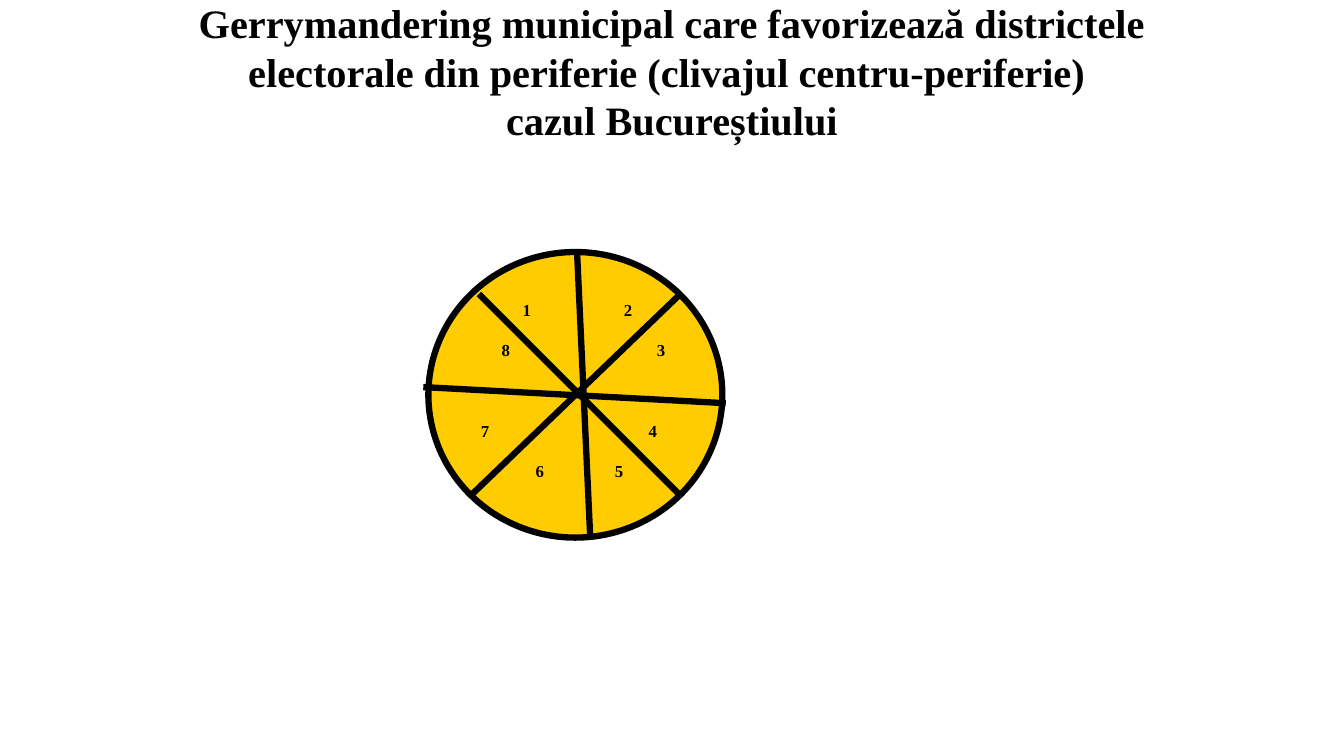
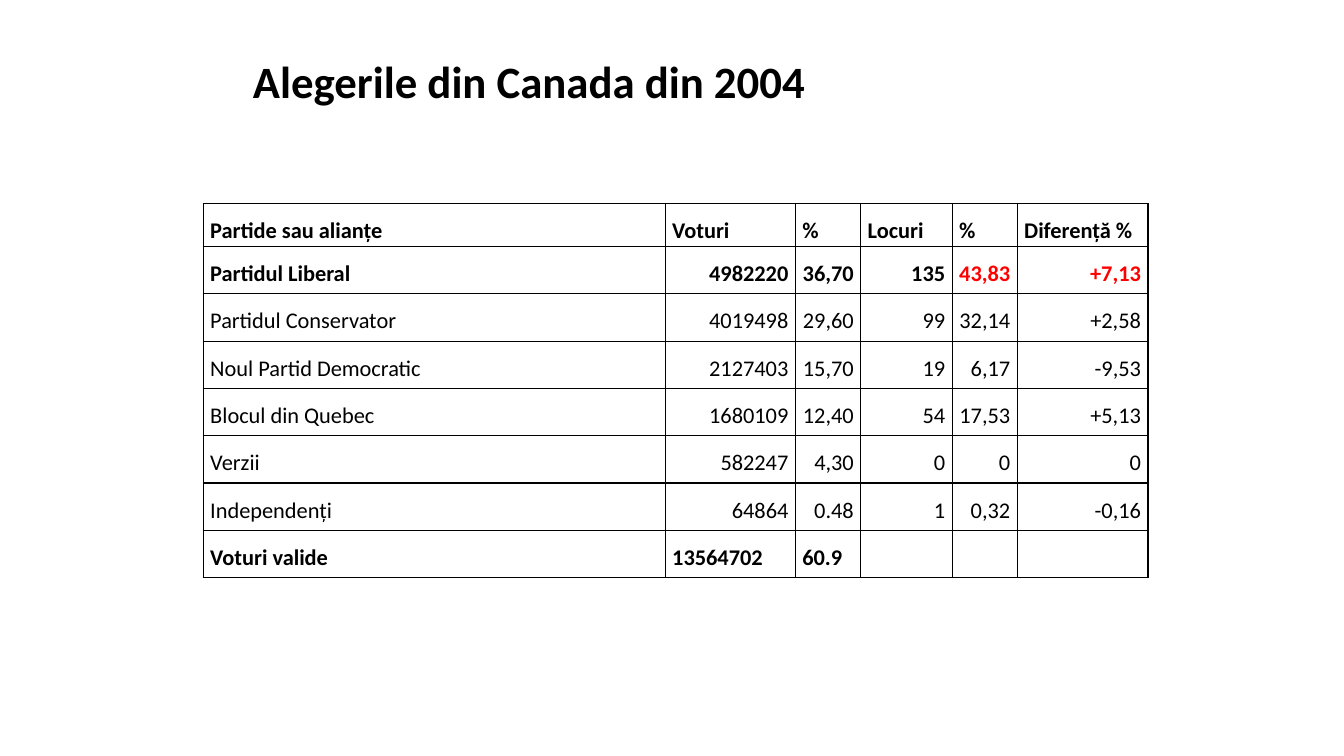
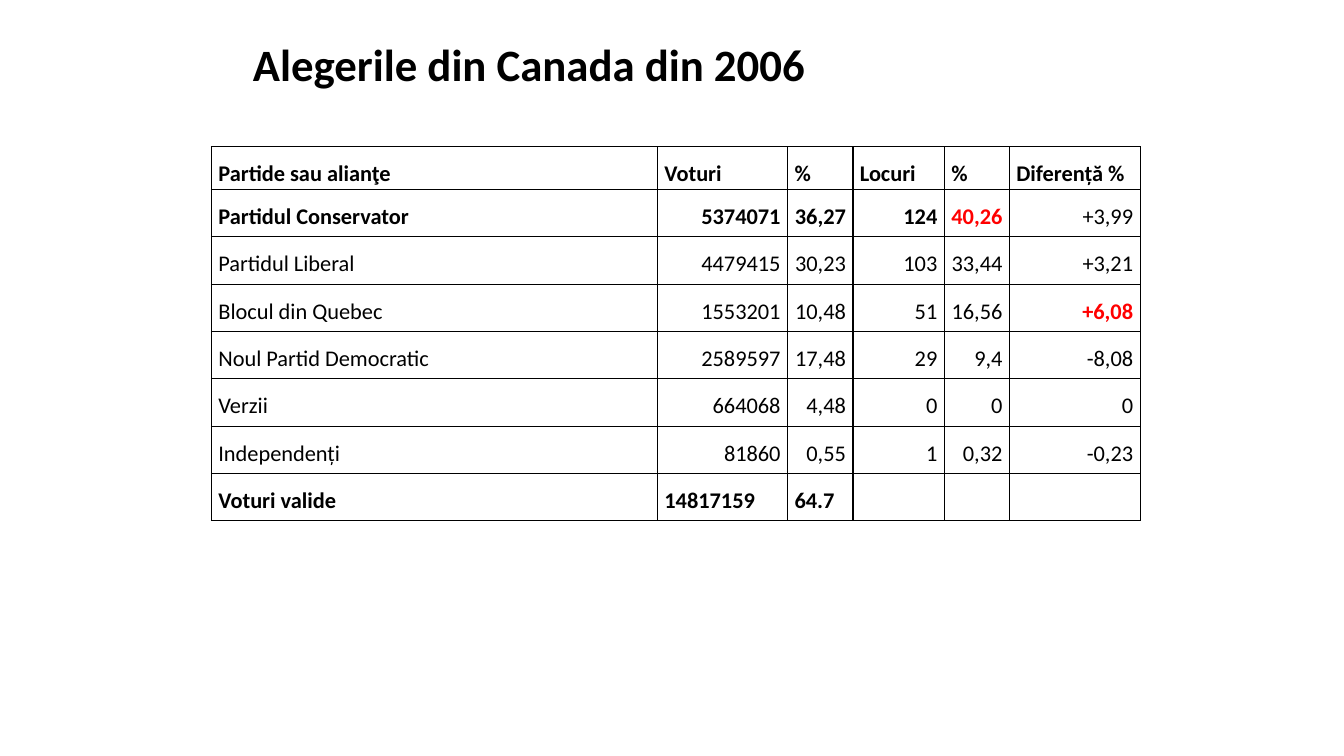
from pptx import Presentation
from pptx.dml.color import RGBColor
from pptx.enum.shapes import MSO_CONNECTOR, MSO_SHAPE
from pptx.enum.text import MSO_ANCHOR, MSO_AUTO_SIZE, PP_ALIGN
from pptx.oxml.ns import qn
from pptx.util import Pt
from lxml.etree import SubElement

COLORS = {"ink": "000000", "district": "FFCC00", "accent": "FF0000"}
SANS, SERIF = "Calibri", "Times New Roman"
COL_WIDTHS = [93, 46.7, 65.3, 46.5, 93.4]  # columns after the party name
HEAD_HEIGHT, ROW_HEIGHT = 30.7, 33.8


def rgb(name):
    return RGBColor.from_string(COLORS[name])


def write(tf, text, size=16, font=SANS, color="ink", bold=True,
          align=PP_ALIGN.LEFT, spacing=None):
    tf.text = text
    p = tf.paragraphs[0]
    p.alignment = align
    if spacing:
        p.line_spacing = spacing
    for r in p.runs:
        f = r.font
        f.size, f.name, f.bold = Pt(size), font, bold
        f.color.rgb = rgb(color)


def add_slide(prs, title, box, bottom=3.6, **fmt):
    """Title-only slide with its title placed in box."""
    s = prs.slides.add_slide(prs.slide_layouts[5])
    sp = s.shapes.title
    sp.left, sp.top, sp.width, sp.height = (Pt(v) for v in box)
    tf = sp.text_frame
    tf.word_wrap = True
    tf.auto_size = MSO_AUTO_SIZE.NONE
    tf.vertical_anchor = MSO_ANCHOR.MIDDLE
    tf.margin_left = tf.margin_right = Pt(7.2)
    tf.margin_top, tf.margin_bottom = Pt(3.6), Pt(bottom)
    write(tf, title, **fmt)
    return s


def add_city(s, x, y, w, h):
    """Round city cut into eight numbered districts."""
    sp = s.shapes.add_shape(MSO_SHAPE.FLOWCHART_CONNECTOR, Pt(x), Pt(y), Pt(w), Pt(h))
    sp.shadow.inherit = False
    sp.fill.solid()
    sp.fill.fore_color.rgb = rgb("district")
    sp.line.color.rgb = rgb("ink")
    sp.line.width = Pt(4.5)

    # District borders
    borders = [(36, 30, 180, 174), (106.2, 0, 115.6, h),
               (180, 30, 30.2, 174), (-3.6, 96.5, 212.4, 108)]
    for x1, y1, x2, y2 in borders:
        ln = s.shapes.add_connector(MSO_CONNECTOR.STRAIGHT, Pt(x + x1), Pt(y + y1),
                                    Pt(x + x2), Pt(y + y2))
        ln.line.color.rgb = rgb("ink")
        ln.line.width = Pt(4.5)
        SubElement(ln._element.spPr, qn("a:effectLst"))

    # District numbers, by centre
    centres = [(70.4, 41.4), (142.6, 41.4), (166.2, 70), (160.4, 127.8),
               (136.2, 156.4), (79.7, 156.4), (40.5, 127.8), (55.4, 70)]
    side = 16
    for number, (cx, cy) in enumerate(centres, 1):
        tb = s.shapes.add_textbox(Pt(x + cx - side / 2), Pt(y + cy - side / 2),
                                  Pt(side), Pt(side))
        tf = tb.text_frame
        tf.word_wrap = True
        tf.vertical_anchor = MSO_ANCHOR.MIDDLE
        tf.margin_left = tf.margin_right = tf.margin_top = tf.margin_bottom = 0
        write(tf, str(number), size=12, font=SERIF, align=PP_ALIGN.CENTER)


def add_borders(cell):
    tcPr = cell._tc.get_or_add_tcPr()
    for i, side in enumerate(("lnL", "lnR", "lnT", "lnB")):
        ln = tcPr.makeelement(qn(f"a:{side}"), {"w": str(Pt(1))})
        fill = SubElement(ln, qn("a:solidFill"))
        SubElement(fill, qn("a:srgbClr"), val=COLORS["ink"])
        tcPr.insert(i, ln)


def add_results(s, x, y, name_width, rows, red, plain=()):
    """Results table; the head, the winner and the total are bold."""
    widths = [name_width] + COL_WIDTHS
    last = len(rows) - 1
    heights = [HEAD_HEIGHT] + [ROW_HEIGHT] * last
    frame = s.shapes.add_table(len(rows), len(widths), Pt(x), Pt(y),
                               Pt(sum(widths)), Pt(sum(heights)))
    tbl = frame.table
    tbl.first_row = tbl.horz_banding = False
    for col, width in zip(tbl.columns, widths):
        col.width = Pt(width)
    for i, (values, height) in enumerate(zip(rows, heights)):
        tbl.rows[i].height = Pt(height)
        for j in range(len(widths)):
            cell = tbl.cell(i, j)
            cell.margin_left = cell.margin_right = Pt(5)
            cell.margin_top = cell.margin_bottom = 0
            cell.fill.background()
            add_borders(cell)
            if j < len(values):
                at = (i, j)
                write(cell.text_frame, values[j], spacing=1.5,
                      color="accent" if at in red else "ink",
                      bold=at in red or (i in (0, 1, last) and at not in plain),
                      align=PP_ALIGN.RIGHT if j and 0 < i < last else PP_ALIGN.LEFT)


RESULTS_2004 = [
    ["Partide sau alianțe", "Voturi", "%", "Locuri", "%", "Diferență %"],
    ["Partidul Liberal", "4982220", "36,70", "135", "43,83", "+7,13"],
    ["Partidul Conservator", "4019498", "29,60", "99", "32,14", "+2,58"],
    ["Noul Partid Democratic", "2127403", "15,70", "19", "6,17", "-9,53"],
    ["Blocul din Quebec", "1680109", "12,40", "54", "17,53", "+5,13"],
    ["Verzii", "582247", "4,30", "0", "0", "0"],
    ["Independenți", "64864", "0.48", "1", "0,32", "-0,16"],
    ["Voturi valide", "13564702", "60.9"],
]
RESULTS_2006 = [
    ["Partide sau alianţe", "Voturi", "%", "Locuri", "%", "Diferență %"],
    ["Partidul Conservator", "5374071", "36,27", "124", "40,26", "+3,99"],
    ["Partidul Liberal", "4479415", "30,23", "103", "33,44", "+3,21"],
    ["Blocul din Quebec", "1553201", "10,48", "51", "16,56", "+6,08"],
    ["Noul Partid Democratic", "2589597", "17,48", "29", "9,4", "-8,08"],
    ["Verzii", "664068", "4,48", "0", "0", "0"],
    ["Independenți", "81860", "0,55", "1", "0,32", "-0,23"],
    ["Voturi valide", "14817159", "64.7"],
]


def main():
    prs = Presentation()
    prs.slide_width, prs.slide_height = Pt(960), Pt(540)

    # Gerrymandering in Bucharest
    s = add_slide(prs, "Gerrymandering municipal care favorizează districtele\v"
                       "electorale din periferie (clivajul centru-periferie) \v"
                       "cazul Bucureștiului",
                  (66, 15.8, 828, 104.4), bottom=38, size=28.8, font=SERIF,
                  align=PP_ALIGN.CENTER, spacing=Pt(34.6))
    add_city(s, 306, 180, 210, 204)

    # Canadian elections
    elections = [
        (2004, 37.4, (145.2, 145.4, 330), RESULTS_2004, {(1, 4), (1, 5)}, ()),
        (2006, 25.9, (151, 104.7, 318.6), RESULTS_2006, {(1, 4), (3, 5)}, {(1, 5)}),
    ]
    for year, top, place, rows, red, plain in elections:
        s = add_slide(prs, f"Alegerile din Canada din {year}", (173.5, top, 612, 44.6),
                      size=32, spacing=0.9)
        add_results(s, *place, rows, red, plain)

    prs.save("out.pptx")


if __name__ == "__main__":
    main()
